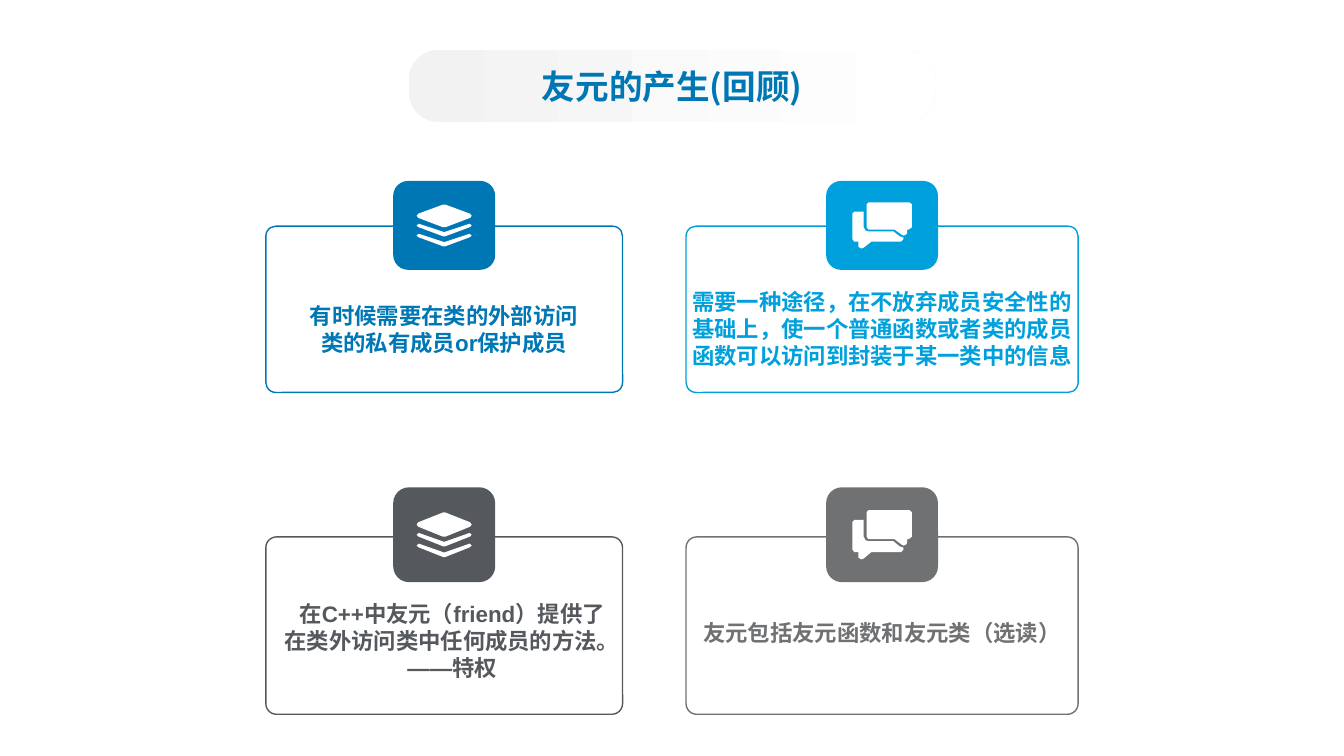
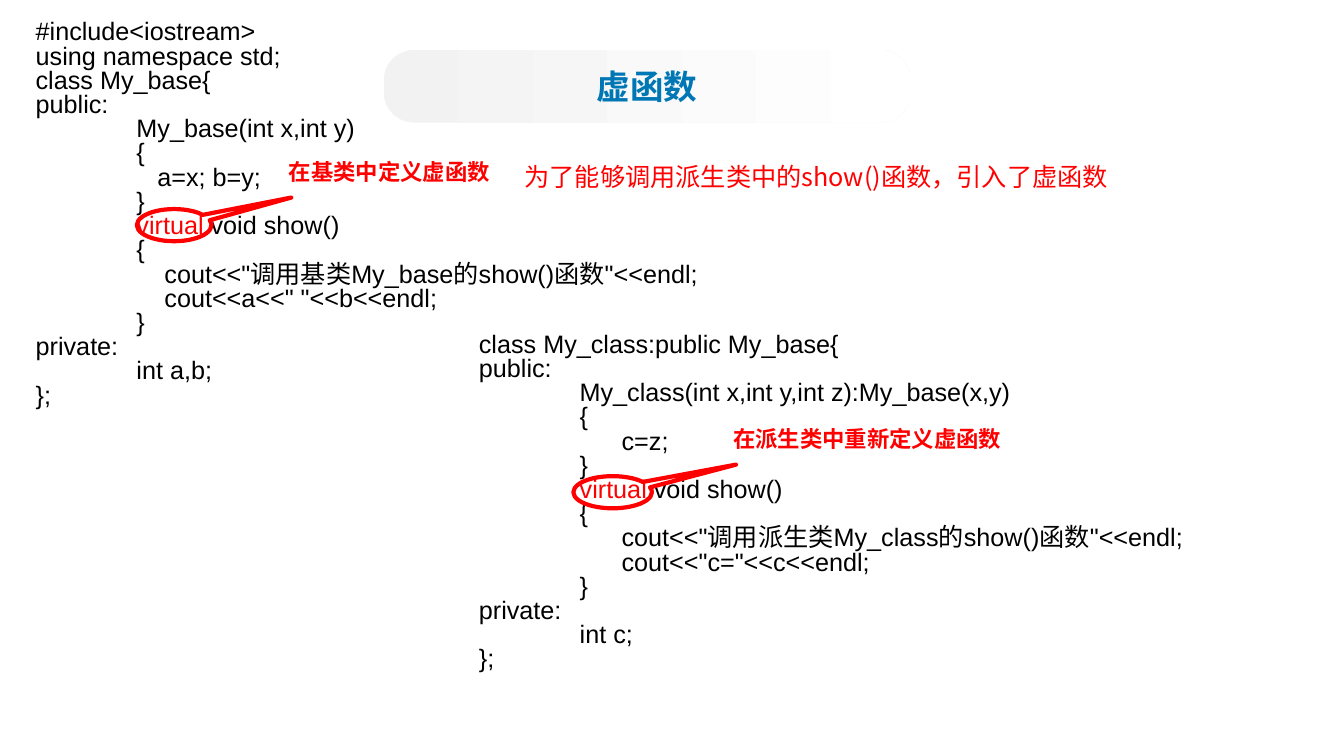
from dataclasses import dataclass
from typing import NamedTuple

from lxml.etree import SubElement
from pptx import Presentation
from pptx.dml.color import RGBColor
from pptx.enum.shapes import MSO_SHAPE as Preset
from pptx.enum.text import MSO_ANCHOR as Anchor, MSO_AUTO_SIZE as AutoSize, PP_ALIGN as Align
from pptx.oxml.ns import qn
from pptx.util import Cm, Pt

COLORS = {
    "blue": "0077B5",
    "sky": "00A0DC",
    "slate": "55595D",
    "gray": "6F7173",
    "red": "FF0000",
    "black": "000000",
    "white": "FFFFFF",
    "mist": "F2F2F2",
}
LATIN = "Arial"
HAN = "Noto Sans CJK SC"
KEYWORD = "virtual"
TITLE_ONLY = 5


class Frame(NamedTuple):
    left: float
    top: float
    width: float
    height: float

    def lengths(self) -> tuple:
        return tuple(Cm(value) for value in self)


class Column(NamedTuple):
    left: float
    width: float
    badge_width: float


class Row(NamedTuple):
    top: float
    height: float
    badge_top: float
    badge_height: float


class Icon(NamedTuple):
    width_share: float
    height_share: float
    outlines: list


@dataclass
class Card:
    column: Column
    row: Row
    icon: Icon
    color: str
    text_frame: Frame
    text: str


@dataclass
class Callout:
    label_frame: Frame
    label: str
    ellipse_frame: Frame


def chevron(drop: int) -> list:
    points = [(97, 54), (52, 76), (48, 76), (3, 54), (0, 50), (4, 46), (50, 66), (96, 46), (100, 50)]
    return [(x, y + drop) for x, y in points]


LAYERS = Icon(0.54, 0.47, [
    [(97, 32), (53, 54), (47, 54), (3, 32), (0, 27), (3, 22), (48, 0), (52, 0), (97, 22), (100, 27)],
    chevron(0),
    chevron(24),
])
CHAT = Icon(0.53, 0.52, [
    [(95, 59), (92, 59), (92, 67), (90, 70), (86, 72), (83, 70), (71, 59), (27, 59),
     (24, 54), (24, 4), (27, 0), (96, 0), (100, 4), (100, 54)],
    [(69, 63), (80, 74), (86, 76), (86, 80), (82, 85), (32, 85), (19, 98), (15, 100), (12, 98),
     (10, 96), (10, 85), (3, 85), (0, 80), (0, 24), (3, 20), (19, 20), (19, 54), (22, 61), (27, 63)],
])

LEFT = Column(6.7, 8.99, 2.57)
RIGHT = Column(17.29, 9.88, 2.82)
UPPER = Row(5.7, 4.19, 4.56, 2.24)
LOWER = Row(13.53, 4.47, 12.28, 2.39)

CARDS = [
    Card(LEFT, UPPER, LAYERS, "blue", Frame(7.1, 7.62, 8.18, 1.88),
         "有时候需要在类的外部访问\n类的私有成员or保护成员"),
    Card(RIGHT, UPPER, CHAT, "sky", Frame(17.23, 7.26, 10, 2.24),
         "需要一种途径，在不放弃成员安全性的\n基础上，使一个普通函数或者类的成员\n函数可以访问到封装于某一类中的信息"),
    Card(LEFT, LOWER, LAYERS, "slate", Frame(7.1, 15.12, 8.59, 2.59),
         "在C++中友元（friend）提供了\n在类外访问类中任何成员的方法。\n——特权"),
    Card(RIGHT, LOWER, CHAT, "gray", Frame(17.23, 15.6, 10, 2.18),
         "友元包括友元函数和友元类（选读）"),
]

BASE_CODE = """#include<iostream>
using namespace std;
class My_base{
public:
\tMy_base(int x,int y)
\t{
\t   a=x; b=y;
\t}
\tvirtual void show()
\t{
\t    cout<<"调用基类My_base的show()函数"<<endl;
\t    cout<<a<<" "<<b<<endl;
\t}
private:
\tint a,b;
};"""
DERIVED_CODE = """class My_class:public My_base{
public:
\tMy_class(int x,int y,int z):My_base(x,y)
\t{
\t      c=z;
\t}
\tvirtual void show()
\t{
\t      cout<<"调用派生类My_class的show()函数"<<endl;
\t      cout<<"c="<<c<<endl;
\t}
private:
\tint c;
};"""
LISTINGS = [
    (Frame(0.65, 0.42, 18.47, 10.11), BASE_CODE),
    (Frame(11.82, 8.29, 19.23, 8.86), DERIVED_CODE),
]
CALLOUTS = [
    Callout(Frame(7.03, 3.86, 6.93, 0.94), "在基类中定义虚函数", Frame(3.45, 5.27, 1.88, 0.81)),
    Callout(Frame(18.23, 10.59, 8.71, 0.94), "在派生类中重新定义虚函数", Frame(14.45, 12, 1.98, 0.81)),
]


def color(name: str) -> RGBColor:
    return RGBColor.from_string(COLORS[name])


def style_span(span, size: float, tint: str, face: str, bold: bool = False) -> None:
    span.font.size = Pt(size)
    span.font.bold = bold
    span.font.name = face
    span.font.color.rgb = color(tint)
    SubElement(span.font._element, qn("a:ea")).set("typeface", face)


def style_text(frame, size: float, tint: str, face: str, bold: bool = False, align=Align.LEFT) -> None:
    for para in frame.paragraphs:
        para.alignment = align
        for span in para.runs:
            style_span(span, size, tint, face, bold)


def add_preset(page, preset, frame: Frame, fill: str = "", line: str = "", weight: float = 1):
    shape = page.shapes.add_shape(preset, *frame.lengths())
    shape.shadow.inherit = False
    if fill:
        shape.fill.solid()
        shape.fill.fore_color.rgb = color(fill)
    else:
        shape.fill.background()
    if line:
        shape.line.color.rgb = color(line)
        shape.line.width = Pt(weight)
    else:
        shape.line.fill.background()
    return shape


def add_text(page, frame: Frame, text: str, wrap: bool = True):
    box = page.shapes.add_textbox(*frame.lengths())
    box.text_frame.word_wrap = wrap
    box.text_frame.text = text
    return box.text_frame


def add_titled_page(deck, title: str, frame: Frame):
    page = deck.slides.add_slide(deck.slide_layouts[TITLE_ONLY])
    band = add_preset(page, Preset.ROUNDED_RECTANGLE, frame)
    band.adjustments[0] = 0.42
    band.fill.gradient()
    band.fill.gradient_angle = 0
    for stop, tint, position in zip(band.fill.gradient_stops, ("mist", "white"), (0, 0.99)):
        stop.color.rgb = color(tint)
        stop.position = position
    heading = page.shapes.title
    heading.left, heading.top, heading.width, heading.height = frame.lengths()
    heading.text_frame.text = title
    heading.text_frame.auto_size = AutoSize.NONE
    heading.text_frame.vertical_anchor = Anchor.MIDDLE
    style_text(heading.text_frame, 24, "blue", HAN, True, Align.CENTER)
    band.element.addnext(heading.element)
    return page


def add_icon(page, icon: Icon, badge: Frame) -> None:
    width, height = badge.width * icon.width_share, badge.height * icon.height_share
    left = badge.left + (badge.width - width) / 2
    top = badge.top + (badge.height - height) / 2
    first, *others = icon.outlines
    builder = page.shapes.build_freeform(*first[0], scale=(Cm(width) / 100, Cm(height) / 100))
    builder.add_line_segments(first[1:], close=True)
    for outline in others:
        builder.move_to(*outline[0])
        builder.add_line_segments(outline[1:], close=True)
    shape = builder.convert_to_shape(Cm(left), Cm(top))
    shape.shadow.inherit = False
    shape.fill.solid()
    shape.fill.fore_color.rgb = color("white")
    shape.line.fill.background()


def add_card(page, card: Card) -> None:
    column, row = card.column, card.row
    border = Frame(column.left, row.top, column.width, row.height)
    outline = add_preset(page, Preset.ROUNDED_RECTANGLE, border, line=card.color)
    outline.adjustments[0] = 0.06
    badge_left = column.left + (column.width - column.badge_width) / 2
    badge = Frame(badge_left, row.badge_top, column.badge_width, row.badge_height)
    add_preset(page, Preset.ROUNDED_RECTANGLE, badge, fill=card.color)
    add_icon(page, card.icon, badge)
    text = add_text(page, card.text_frame, card.text, wrap=False)
    text.margin_left = text.margin_top = text.margin_right = text.margin_bottom = 0
    style_text(text, 16, card.color, LATIN, True, Align.CENTER)


def add_listing(page, frame: Frame, code: str) -> None:
    text = add_text(page, frame, code)
    for para, line in zip(text.paragraphs, code.split("\n")):
        para.line_spacing = 0.8
        tabs = SubElement(para._p.get_or_add_pPr(), qn("a:tabLst"))
        tab = SubElement(tabs, qn("a:tab"))
        tab.set("pos", str(Cm(2.54)))
        tab.set("algn", "l")
        para.text = ""
        for piece in filter(None, line.partition(KEYWORD)):
            span = para.add_run()
            span.text = piece
            style_span(span, 18, "red" if piece == KEYWORD else "black", LATIN)


def add_callout(page, callout: Callout) -> None:
    label = add_text(page, callout.label_frame, callout.label)
    style_text(label, 16, "red", HAN, True)
    ellipse = add_preset(page, Preset.OVAL_CALLOUT, callout.ellipse_frame, line="red", weight=3)
    ellipse.adjustments[0] = 1.57
    ellipse.adjustments[1] = -0.86


def main() -> None:
    deck = Presentation()
    deck.slide_width, deck.slide_height = Cm(33.87), Cm(19.05)

    review = add_titled_page(deck, "友元的产生(回顾)", Frame(10.3, 1.25, 13.28, 1.83))
    for card in CARDS:
        add_card(review, card)

    virtual = add_titled_page(deck, "虚函数", Frame(9.67, 1.26, 13.28, 1.83))
    for frame, code in LISTINGS:
        add_listing(virtual, frame, code)
    reason = add_text(virtual, Frame(12.97, 3.94, 16.94, 1.02),
                      "为了能够调用派生类中的show()函数，引入了虚函数")
    style_text(reason, 18, "red", HAN)
    for callout in CALLOUTS:
        add_callout(virtual, callout)

    deck.save("out.pptx")


if __name__ == "__main__":
    main()
